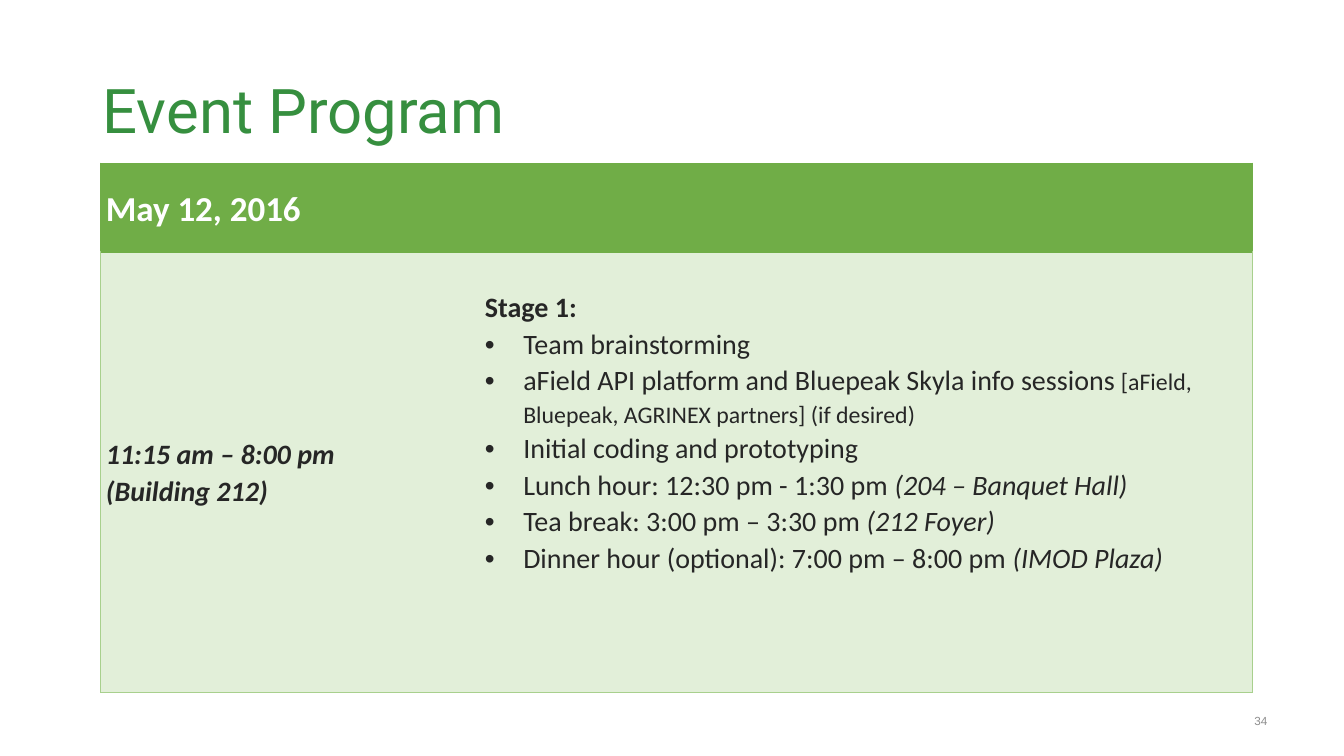
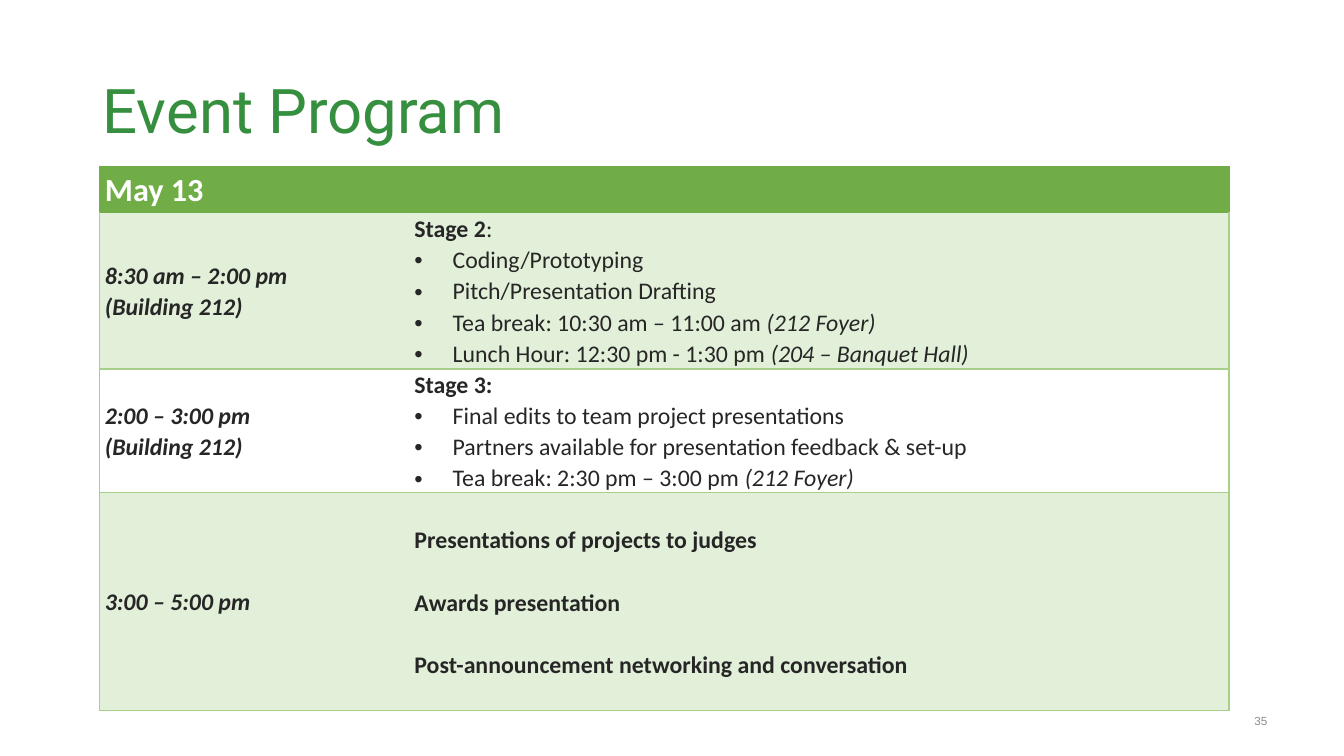
from pptx import Presentation
from pptx.dml.color import RGBColor
from pptx.enum.text import MSO_ANCHOR, PP_ALIGN
from pptx.oxml.ns import qn
from pptx.util import Inches, Pt
from lxml import etree

MID, TOP = MSO_ANCHOR.MIDDLE, MSO_ANCHOR.TOP
LEFT, RIGHT = PP_ALIGN.LEFT, PP_ALIGN.RIGHT
GREEN, PALE, EDGE, WHITE = "70AD47", "E2EFD9", "A8D08D", "FFFFFF"
LEAF, INK, GREY = "368F3F", "262626", "8E8E8E"
NO_STYLE = "{2D5ABB26-0587-4C30-8999-92F81FD0307C}"


def rgb(code):
    return RGBColor.from_string(code)


def write(frame, lines, size, color, face="Calibri", space=1.07, gap=0, align=LEFT):
    frame.word_wrap = True
    for n, (mark, *runs) in enumerate(lines):
        para = frame.paragraphs[0] if n == 0 else frame.add_paragraph()
        if mark:
            props = para._p.get_or_add_pPr()
            props.set("marL", str(Inches(0.38)))
            props.set("indent", str(-Inches(0.38)))
            etree.SubElement(props, qn("a:buFont"), typeface="Arial")
            etree.SubElement(props, qn("a:buChar"), char=mark)
        para.alignment = align
        para.line_spacing = space
        para.space_before = Pt(gap if n else 0)
        for text, style in runs:
            run = para.add_run()
            run.text = text
            font = run.font
            font.name = face
            font.size = Pt(17 if "s" in style else size)
            font.bold = "b" in style
            font.italic = "i" in style
            font.color.rgb = rgb(color)


DOT = "•"
HALL = ("(204 – Banquet Hall)", "i")
FOYER = ("(212 Foyer)", "i")
PLACE = ("", ("(Building 212)", "bi"))

first = [
    ([("", ("11:15 am – 8:00 pm", "bi")), PLACE],
     [("", ("Stage 1:", "b")),
      (DOT, ("Team brainstorming", "")),
      (DOT, ("aField API platform and Bluepeak Skyla info sessions", ""),
       (" [aField, Bluepeak, AGRINEX partners] (if desired)", "s")),
      (DOT, ("Initial coding and prototyping", "")),
      (DOT, ("Lunch hour: 12:30 pm - 1:30 pm ", ""), HALL),
      (DOT, ("Tea break: 3:00 pm – 3:30 pm ", ""), FOYER),
      (DOT, ("Dinner hour (optional): 7:00 pm – 8:00 pm", ""), (" (IMOD Plaza)", "i"))],
     TOP, 0.36, 0),
]
second = [
    ([("", ("8:30 am – 2:00 pm", "bi")), PLACE],
     [("", ("Stage 2", "b"), (":", "")),
      (DOT, ("Coding/Prototyping", "")),
      (DOT, ("Pitch/Presentation Drafting", "")),
      (DOT, ("Tea break: 10:30 am – 11:00 am ", ""), FOYER),
      (DOT, ("Lunch Hour: 12:30 pm - 1:30 pm ", ""), HALL)],
     MID, 0, 0),
    ([("", ("2:00 – 3:00 pm", "bi")), PLACE],
     [("", ("Stage 3:", "b")),
      (DOT, ("Final edits to team project presentations", "")),
      (DOT, ("Partners available for presentation feedback & set-up", "")),
      (DOT, ("Tea break: 2:30 pm – 3:00 pm ", ""), FOYER)],
     MID, 0, 0),
    ([("", ("3:00 – 5:00 pm", "bi"))],
     [("", ("Presentations of projects to judges", "b")),
      ("", ("Awards presentation", "b")),
      ("", ("Post-announcement networking and conversation", "b"))],
     TOP, 0.31, 22.2),
]
days = [
    ("34", "May 12, 2016", 25, 20, (1, 1.62), (3.76, 7.66), (0.88, 4.37), first),
    ("35", "May 13", 23, 17, (0.99, 1.65), (3.07, 8.13), (0.46, 1.55, 1.23, 2.16), second),
]

deck = Presentation()
deck.slide_width, deck.slide_height = Inches(13.33), Inches(7.5)

for page, date, big, size, spot, cols, rows, plan in days:
    slide = deck.slides.add_slide(deck.slide_layouts[6])
    title = slide.shapes.add_textbox(Inches(0.92), Inches(0.4), Inches(11.5), Inches(1.45))
    title.text_frame.vertical_anchor = MID
    write(title.text_frame, [("", ("Event Program", ""))], 44, LEAF, "Roboto", 0.9)
    foot = slide.shapes.add_textbox(Inches(9.56), Inches(6.95), Inches(3.11), Inches(0.4))
    foot.text_frame.vertical_anchor = MID
    write(foot.text_frame, [("", (page, ""))], 8.4, GREY, "Arial", 1.0, align=RIGHT)

    holder = slide.shapes.add_table(
        len(rows), 2, Inches(spot[0]), Inches(spot[1]), Inches(sum(cols)), Inches(sum(rows)))
    next(holder.element.iter(qn("a:tableStyleId"))).text = NO_STYLE
    table = holder.table
    table.first_row = table.horz_banding = False
    for col, width in zip(table.columns, cols):
        col.width = Inches(width)
    for row, height in zip(table.rows, rows):
        row.height = Inches(height)
    table.cell(0, 0).merge(table.cell(0, 1))

    for r in range(len(rows)):
        for c in range(2):
            cell = table.cell(r, c)
            cell.margin_left = cell.margin_right = Inches(0.05)
            cell.margin_top = cell.margin_bottom = 0
            cell.vertical_anchor = MID
            line = EDGE if r else GREEN
            edges = {
                "L": "" if c else line,
                "R": line if c or r == 0 else "",
                "T": EDGE if r > 1 else GREEN,
                "B": line,
            }
            props = cell._tc.get_or_add_tcPr()
            for side, color in edges.items():
                edge = etree.SubElement(props, qn("a:ln" + side), w=str(Pt(1)))
                if color:
                    fill = etree.SubElement(edge, qn("a:solidFill"))
                    etree.SubElement(fill, qn("a:srgbClr"), val=color)
                else:
                    etree.SubElement(edge, qn("a:noFill"))
            cell.fill.solid()
            cell.fill.fore_color.rgb = rgb((PALE if r % 2 else WHITE) if r < 3 and r else PALE if r else GREEN)

    write(table.cell(0, 0).text_frame, [("", (date, "b"))], big, WHITE)
    for r, (time, tasks, anchor, top, gap) in enumerate(plan, 1):
        write(table.cell(r, 0).text_frame, time, size, INK)
        cell = table.cell(r, 1)
        cell.vertical_anchor = anchor
        cell.margin_top = Inches(top)
        write(cell.text_frame, tasks, size, INK, gap=gap)

deck.save("out.pptx")
